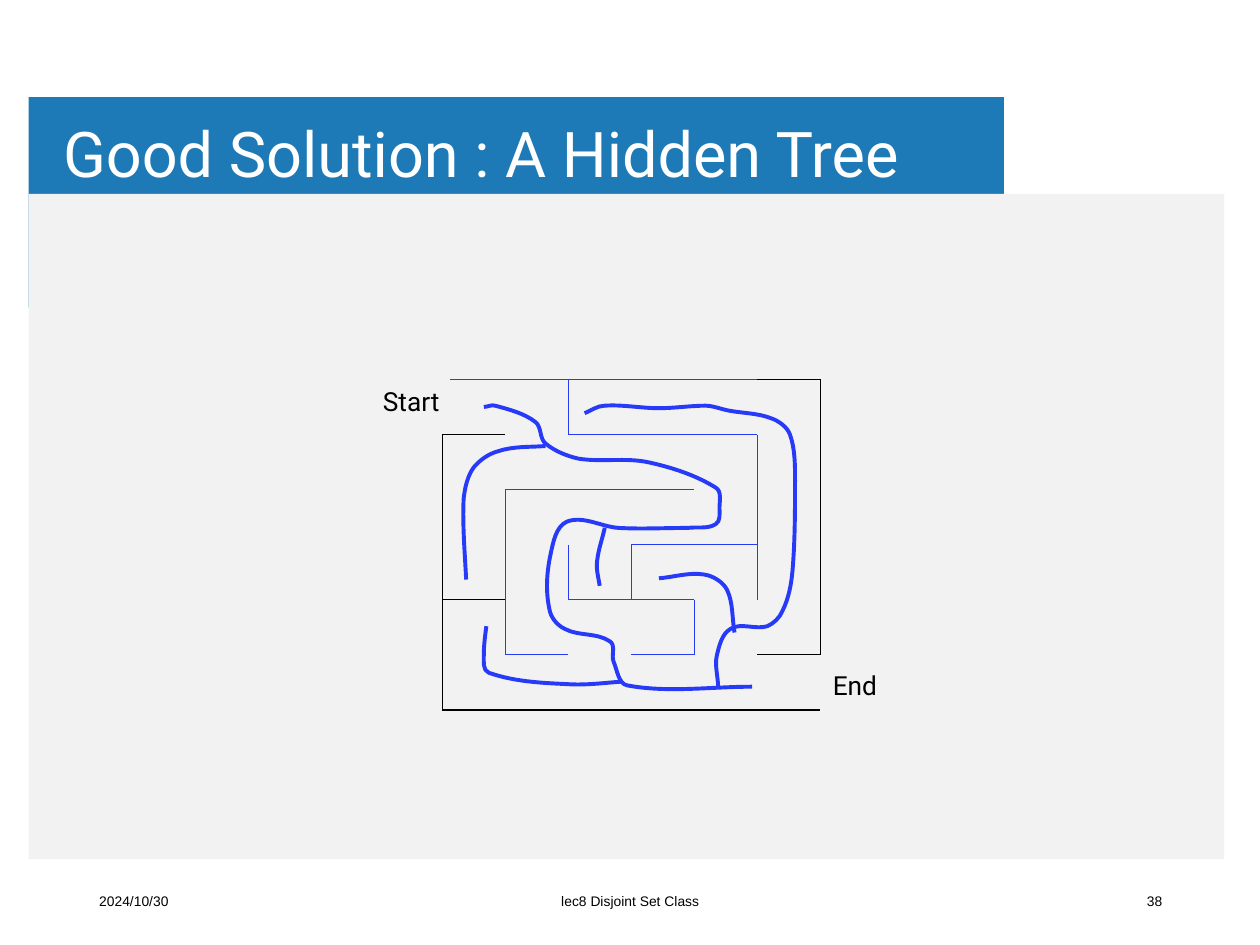
import itertools
import math
from dataclasses import dataclass

import pptx
import pptx.dml.color
import pptx.enum.shapes
import pptx.enum.text
import pptx.oxml
import pptx.oxml.ns
import pptx.util
from pptx.util import Cm

ALIGN = pptx.enum.text.PP_ALIGN
ANCHOR = pptx.enum.text.MSO_ANCHOR


@dataclass(frozen=True)
class Theme:
    """Colours, fonts, type sizes and line widths of the slide."""
    band: str = "1E7AB6"
    panel: str = "F2F2F2"
    white: str = "FFFFFF"
    black: str = "000000"
    blue: str = "263AF8"
    heading_font: str = "Roboto"
    footer_font: str = "Arial"
    title_size: float = 36
    label_size: float = 15
    footer_size: float = 7.9
    wall_width: float = 0.75
    trail_width: float = 2.25


THEME = Theme()
MAZE_LEFT, MAZE_TOP = 8.92, 7.65
CELL_WIDTH, CELL_HEIGHT = 1.27, 1.11
TRAIL_UNIT = Cm(0.0254)
WALL_COLOURS = {"b": THEME.blue, "k": THEME.black}
FLAT_WALLS = [".bbbbk", "k.bbb.", ".bbb..", "...bb.", "k.bb..", ".b.b.k", ".....k"]
UPRIGHT_WALLS = ["..b...k", ".....bk", ".b...bk", ".bbb.bk", ".b..b.k"]
TRAILS = [
    [(597, 545), (498, 544), (487, 525), (484, 509), (448, 499), (436, 483),
     (437, 440), (450, 414), (491, 419), (546, 419)],
    [(546, 419), (568, 416), (571, 403), (568, 387), (515, 367), (459, 364),
     (433, 352), (425, 335), (393, 322), (384, 323)],
    [(494, 541), (450, 543), (388, 534), (384, 520), (386, 497)],
    [(570, 546), (569, 520), (580, 499), (609, 497), (621, 485), (629, 453),
     (631, 381), (627, 345), (612, 332), (579, 326), (560, 322), (523, 324),
     (480, 322), (464, 328)],
    [(433, 354), (396, 358), (376, 371), (368, 396), (370, 460)],
    [(480, 419), (474, 445), (476, 465)],
    [(583, 502), (577, 468), (559, 456), (523, 459)],
]


def colour(code):
    """Turn a hex code into a colour."""
    return pptx.dml.color.RGBColor.from_string(code)


def style_line(line, code, width):
    """Set the colour and width of a line."""
    line.color.rgb = colour(code)
    line.width = pptx.util.Pt(width)


def write(frame, text, font, size, code, align=ALIGN.LEFT):
    """Add one formatted run to the first paragraph and return the paragraph."""
    para = frame.paragraphs[0]
    para.alignment = align
    span = para.add_run()
    span.text = text
    span.font.name = font
    span.font.size = pptx.util.Pt(size)
    span.font.color.rgb = colour(code)
    return para


def add_block(page, left, top, width, height, code):
    """Add a plain filled rectangle."""
    block = page.shapes.add_shape(pptx.enum.shapes.MSO_SHAPE.RECTANGLE,
                                  Cm(left), Cm(top), Cm(width), Cm(height))
    block.shadow.inherit = False
    block.fill.solid()
    block.fill.fore_color.rgb = colour(code)
    block.line.fill.background()


def place_title(page, text):
    """Move the title placeholder onto the band and format it."""
    title = page.shapes.title
    title._element.getparent().append(title._element)
    title.left, title.top, title.width, title.height = Cm(1.09), Cm(1.93), Cm(20.4), Cm(2.49)
    frame = title.text_frame
    frame.auto_size = pptx.enum.text.MSO_AUTO_SIZE.NONE
    frame.vertical_anchor = ANCHOR.MIDDLE
    frame.margin_left = frame.margin_right = Cm(0.18)
    frame.margin_top = frame.margin_bottom = Cm(0.1)
    para = write(frame, text, THEME.heading_font, THEME.title_size, THEME.white)
    para.line_spacing = 0.9


def add_footer(page, left, width, text, align):
    """Add one footer entry."""
    box = page.shapes.add_textbox(Cm(left), Cm(17.65), Cm(width), Cm(1.02))
    box.text_frame.word_wrap = True
    box.text_frame.vertical_anchor = ANCHOR.MIDDLE
    write(box.text_frame, text, THEME.footer_font, THEME.footer_size, THEME.black, align)


def add_label(page, left, top, width, text):
    """Add a label beside an opening of the maze."""
    box = page.shapes.add_textbox(Cm(left), Cm(top), Cm(width), Cm(0.89))
    box.text_frame.word_wrap = False
    box.text_frame.auto_size = pptx.enum.text.MSO_AUTO_SIZE.SHAPE_TO_FIT_TEXT
    write(box.text_frame, text, THEME.heading_font, THEME.label_size, THEME.black)


def add_wall(page, column, row, across, down, code):
    """Draw one wall from a grid corner across and down by whole cells."""
    ends = [(column, row), (column + across, row + down)]
    places = [place for x, y in ends
              for place in (Cm(MAZE_LEFT + x * CELL_WIDTH), Cm(MAZE_TOP + y * CELL_HEIGHT))]
    wall = page.shapes.add_connector(pptx.enum.shapes.MSO_CONNECTOR.STRAIGHT, *places)
    style_line(wall.line, code, THEME.wall_width)
    wall._element.spPr.append(pptx.oxml.parse_xml(
        f'<a:effectLst {pptx.oxml.ns.nsdecls("a")}/>'))


def add_wall_rows(page, rows, across, down):
    """Draw one wall for each marked cell edge."""
    for row, marks in enumerate(rows):
        for column, mark in enumerate(marks):
            if mark in WALL_COLOURS:
                add_wall(page, column, row, across, down, WALL_COLOURS[mark])


def smooth_controls(stops):
    """Give the Bézier points, in triples, of a smooth curve through the stops."""
    padded = [stops[0], *stops, stops[-1]]
    headings = [math.atan2(after[1] - before[1], after[0] - before[0])
                for before, after in zip(padded, padded[2:])]
    controls = []
    for (start, leave), (end, arrive) in itertools.pairwise(zip(stops, headings)):
        reach = math.dist(start, end) / 3
        controls += [
            (start[0] + reach * math.cos(leave), start[1] + reach * math.sin(leave)),
            (end[0] - reach * math.cos(arrive), end[1] - reach * math.sin(arrive)),
            end,
        ]
    return controls


def add_trail(page, stops):
    """Draw a smooth open curve through the stops."""
    builder = page.shapes.build_freeform(*stops[0], scale=TRAIL_UNIT)
    builder.add_line_segments(smooth_controls(stops), close=False)
    trail = builder.convert_to_shape()
    trail.shadow.inherit = False
    trail.fill.background()
    style_line(trail.line, THEME.blue, THEME.trail_width)
    segments = list(trail._element.iter(pptx.oxml.ns.qn("a:lnTo")))
    for first in range(0, len(segments), 3):
        curve = pptx.oxml.parse_xml(f'<a:cubicBezTo {pptx.oxml.ns.nsdecls("a")}/>')
        segments[first].addprevious(curve)
        for segment in segments[first:first + 3]:
            curve.append(segment[0])
            segment.getparent().remove(segment)


def main():
    """Build the slide and save the deck."""
    deck = pptx.Presentation()
    deck.slide_width, deck.slide_height = Cm(25.4), Cm(19.05)
    page = deck.slides.add_slide(deck.slide_layouts[5])
    add_block(page, 0.58, 1.96, 19.66, 4.24, THEME.band)
    add_block(page, 0.58, 3.91, 24.1, 13.41, THEME.panel)
    place_title(page, "Good Solution : A Hidden Tree")
    add_footer(page, 1.75, 5.72, "2024/10/30", ALIGN.LEFT)
    add_footer(page, 8.41, 8.59, "lec8 Disjoint Set Class", ALIGN.CENTER)
    add_footer(page, 17.96, 5.72, "38", ALIGN.RIGHT)
    add_wall_rows(page, FLAT_WALLS, 1, 0)
    add_wall_rows(page, UPRIGHT_WALLS, 0, 1)
    add_wall(page, 5, 6, -5, 0, THEME.black)
    add_wall(page, 0, 6, 0, -5, THEME.black)
    add_wall(page, 0.12, 0, 1, 0, THEME.blue)
    add_label(page, 7.47, 7.65, 1.73, "Start")
    add_label(page, 16.54, 13.36, 1.47, "End")
    for stops in TRAILS:
        add_trail(page, stops)
    deck.save("out.pptx")


if __name__ == "__main__":
    main()
